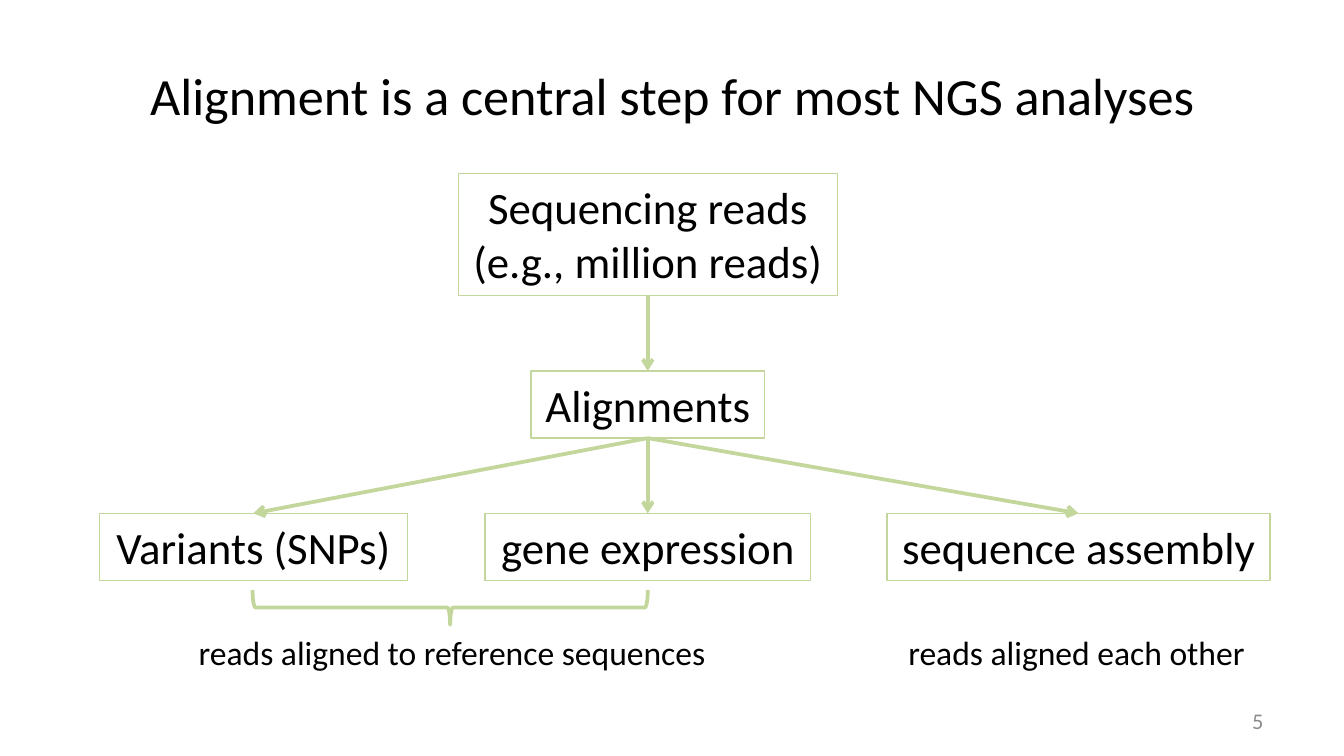
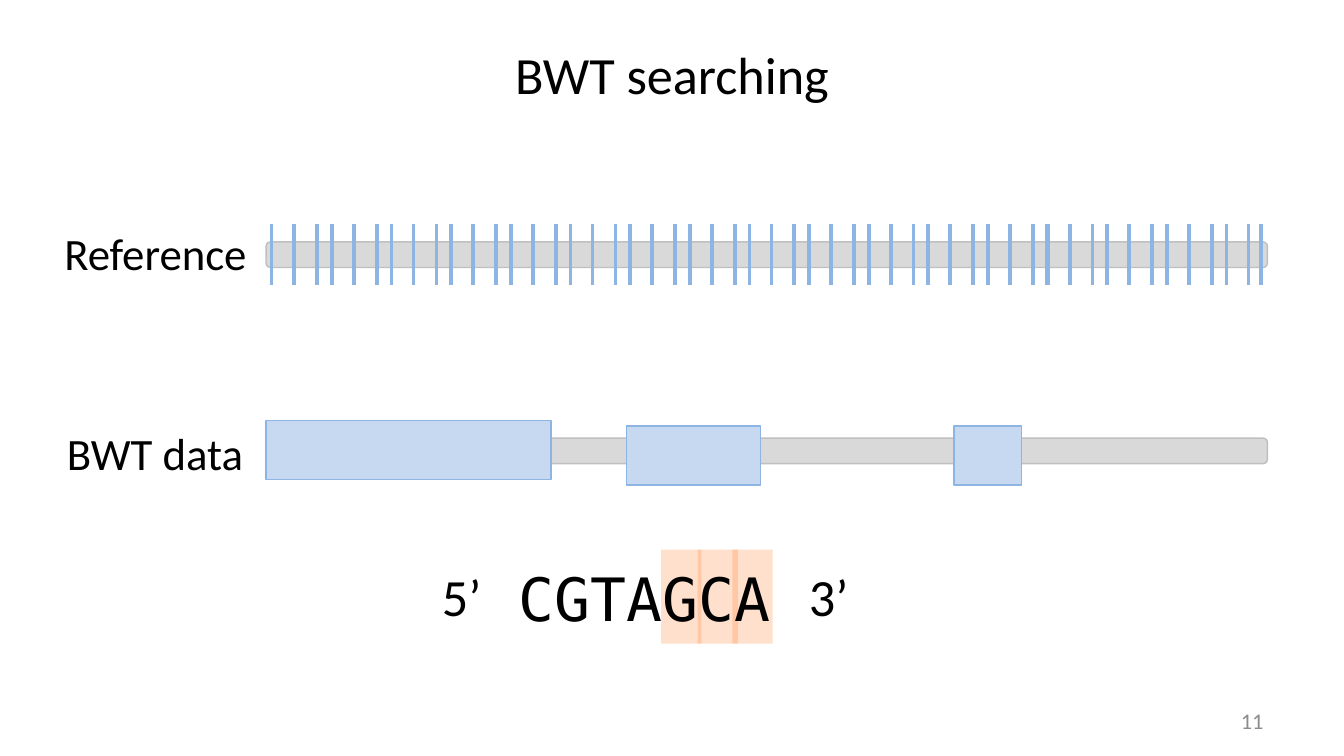
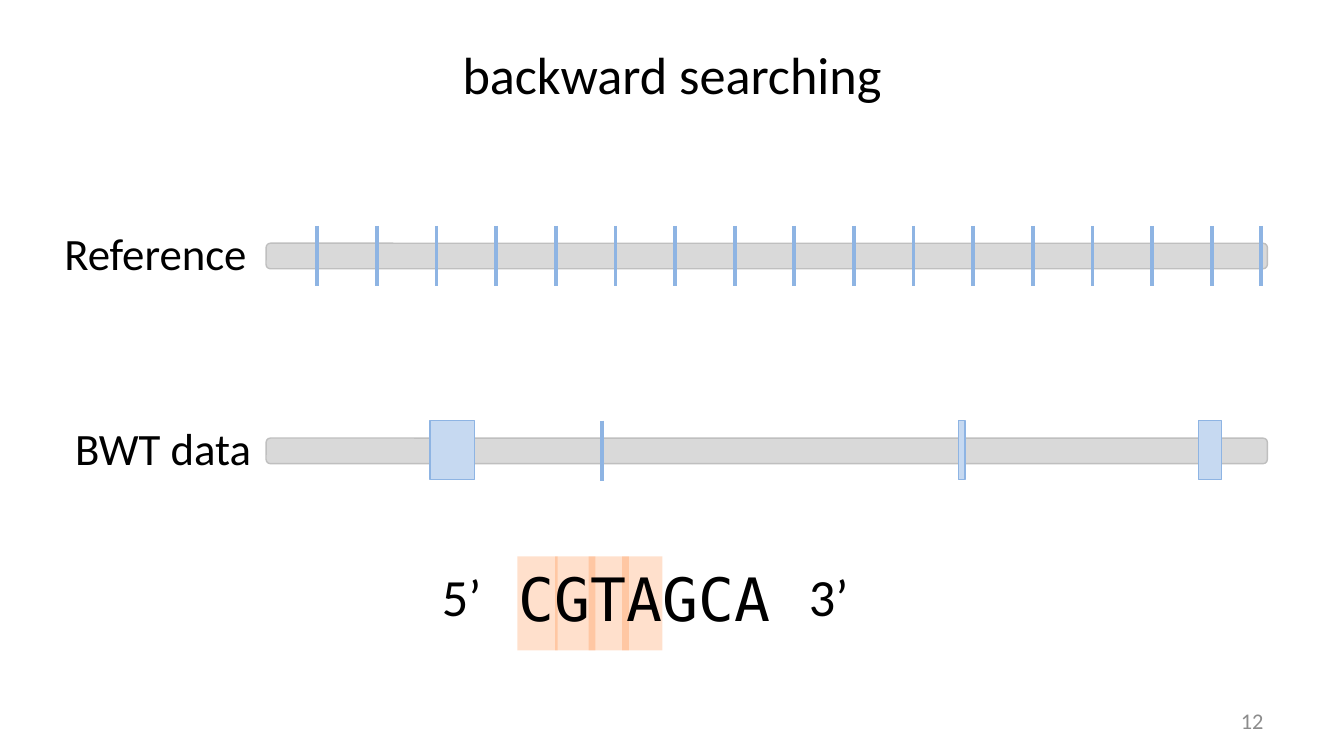
"""Build three slides on read alignment and BWT searching."""
from dataclasses import dataclass

from lxml.etree import SubElement
from pptx import Presentation
from pptx.dml.color import RGBColor
from pptx.enum.shapes import MSO_CONNECTOR, MSO_SHAPE
from pptx.enum.text import MSO_ANCHOR, MSO_AUTO_SIZE, PP_ALIGN
from pptx.oxml.ns import qn
from pptx.presentation import Presentation as Deck
from pptx.shapes.autoshape import Shape
from pptx.shapes.connector import Connector
from pptx.slide import Slide
from pptx.util import Inches, Pt

SLIDE_WIDTH = 10
SLIDE_HEIGHT = SLIDE_WIDTH * 9 / 16

BLACK = "000000"
NUMBER_GRAY = "8C8C8C"
GREEN = "C3D69B"
BAR_FILL, BAR_LINE = "D9D9D9", "BFBFBF"
BLOCK_FILL, BLOCK_LINE = "C6D9F1", "8EB4E3"
ORANGE = "FF6600"
BODY_FONT, CODE_FONT = "Calibri", "DejaVu Sans Mono"
THIN, THICK = 0.75, 2

BAR_LEFT, BAR_WIDTH, BAR_HEIGHT = 1.98, 7.45, 0.19
BLOCK_HEIGHT, TICK_HEIGHT = 0.44, 0.45
BASE_WIDTH, BASE_HEIGHT = 0.3, 0.7
TICK_STEP = 7.1 / 16


@dataclass(frozen=True)
class Box:
    """Place of an element in inches."""

    left: float
    top: float
    width: float
    height: float


@dataclass(frozen=True)
class Label:
    """Text with its place and style."""

    text: str
    box: Box
    size: int
    color: str = BLACK
    font: str = BODY_FONT
    align: PP_ALIGN = PP_ALIGN.LEFT
    anchor: MSO_ANCHOR = MSO_ANCHOR.TOP
    wrap: bool = False
    grow: bool = True


@dataclass(frozen=True)
class SearchSlide:
    """Data of one slide that shows matches on the reference and BWT bars."""

    title: str
    number: int
    reference_top: float
    tick_top: float
    reference_ticks: list[float]
    blocks: list[Box]
    data_ticks: list[float]
    highlight_top: float
    highlight_lefts: list[float]
    data_label_box: Box


def rgb(color: str) -> RGBColor:
    """Turn a hex string into a colour."""
    return RGBColor.from_string(color)


def inches(box: Box) -> tuple[Inches, Inches, Inches, Inches]:
    """Return the place of a box as lengths."""
    return Inches(box.left), Inches(box.top), Inches(box.width), Inches(box.height)


def write(shape: Shape, label: Label) -> None:
    """Put styled text into a shape."""
    frame = shape.text_frame
    frame.text = label.text
    frame.word_wrap = label.wrap
    frame.auto_size = MSO_AUTO_SIZE.SHAPE_TO_FIT_TEXT if label.grow else MSO_AUTO_SIZE.NONE
    frame.vertical_anchor = label.anchor
    for paragraph in frame.paragraphs:
        paragraph.alignment = label.align
        for run in paragraph.runs:
            run.font.name = label.font
            run.font.size = Pt(label.size)
            run.font.color.rgb = rgb(label.color)


def add_label(slide: Slide, label: Label) -> None:
    """Add a text box."""
    write(slide.shapes.add_textbox(*inches(label.box)), label)


def add_figure(slide: Slide, kind: MSO_SHAPE, box: Box, fill: str | None = None,
               line: str | None = None, line_width: float = THIN) -> Shape:
    """Add a preset shape without shadow."""
    shape = slide.shapes.add_shape(kind, *inches(box))
    shape.shadow.inherit = False
    if fill:
        shape.fill.solid()
        shape.fill.fore_color.rgb = rgb(fill)
    else:
        shape.fill.background()
    if line:
        shape.line.color.rgb = rgb(line)
        shape.line.width = Pt(line_width)
    else:
        shape.line.fill.background()
    return shape


def style_connector(connector: Connector, color: str, arrow: bool = False) -> None:
    """Give a connector its colour, width and optional arrowhead."""
    connector.line.color.rgb = rgb(color)
    connector.line.width = Pt(THICK)
    properties = connector.element.spPr
    if arrow:
        SubElement(properties.find(qn("a:ln")), qn("a:tailEnd"), type="arrow")
    SubElement(properties, qn("a:effectLst"))


def add_arrow(slide: Slide, parent: Shape, child: Shape) -> None:
    """Join the bottom of one shape to the top of another."""
    connector = slide.shapes.add_connector(MSO_CONNECTOR.STRAIGHT, 0, 0, 0, 0)
    connector.begin_connect(parent, 2)
    connector.end_connect(child, 0)
    style_connector(connector, GREEN, arrow=True)


def add_ticks(slide: Slide, positions: list[float], top: float) -> None:
    """Add a group of vertical match marks."""
    group = slide.shapes.add_group_shape()
    for position in positions:
        connector = group.shapes.add_connector(
            MSO_CONNECTOR.STRAIGHT, Inches(position), Inches(top),
            Inches(position), Inches(top + TICK_HEIGHT))
        style_connector(connector, BLOCK_LINE)


def tick_row(start: float, count: int) -> list[float]:
    """Return evenly spaced tick positions."""
    return [start + index * TICK_STEP for index in range(count)]


def add_base_slide(presentation: Deck, title: str, title_top: float, number: int) -> Slide:
    """Add a blank slide with its title and number."""
    slide = presentation.slides.add_slide(presentation.slide_layouts[6])
    add_label(slide, Label(title, Box(0.5, title_top, 9, 0.63), 28, align=PP_ALIGN.CENTER,
                           anchor=MSO_ANCHOR.MIDDLE, wrap=True, grow=False))
    add_label(slide, Label(str(number), Box(7.17, 5.21, 2.33, 0.3), 12, NUMBER_GRAY,
                           align=PP_ALIGN.RIGHT, anchor=MSO_ANCHOR.MIDDLE,
                           wrap=True, grow=False))
    return slide


def add_step(slide: Slide, text: str, box: Box) -> Shape:
    """Add an outlined step of the workflow."""
    shape = add_figure(slide, MSO_SHAPE.RECTANGLE, box, line=GREEN)
    write(shape, Label(text, box, 24, align=PP_ALIGN.CENTER))
    return shape


def build_workflow(presentation: Deck) -> None:
    """Build the slide on the role of alignment."""
    slide = add_base_slide(presentation, "Alignment is a central step for most NGS analyses",
                           0.39, 5)
    reads = add_step(slide, "Sequencing reads\n(e.g., million reads)",
                     Box(3.41, 1.29, 2.82, 0.91))
    alignments = add_step(slide, "Alignments", Box(3.95, 2.76, 1.74, 0.5))
    add_arrow(slide, reads, alignments)
    analyses = [("Variants (SNPs)", 0.74, 2.29), ("gene expression", 3.61, 2.42),
                ("sequence assembly", 6.6, 2.85)]
    for text, left, width in analyses:
        add_arrow(slide, alignments, add_step(slide, text, Box(left, 3.82, width, 0.5)))
    brace = add_figure(slide, MSO_SHAPE.LEFT_BRACE, Box(3.22, 3.05, 0.26, 2.94),
                       line=GREEN, line_width=THICK)
    brace.rotation = 270
    add_label(slide, Label("reads aligned to reference sequences",
                           Box(1.38, 4.65, 4.03, 0.4), 18))
    add_label(slide, Label("reads aligned each other", Box(6.66, 4.65, 2.74, 0.4), 18))


def build_search(presentation: Deck, search: SearchSlide) -> None:
    """Build a slide with the two bars and the query sequence."""
    slide = add_base_slide(presentation, search.title, 0.23, search.number)
    for top in (search.reference_top, 3.26):
        add_figure(slide, MSO_SHAPE.ROUNDED_RECTANGLE,
                   Box(BAR_LEFT, top, BAR_WIDTH, BAR_HEIGHT), BAR_FILL, BAR_LINE)
    for block in search.blocks:
        add_figure(slide, MSO_SHAPE.RECTANGLE, block, BLOCK_FILL, BLOCK_LINE)
    add_ticks(slide, search.reference_ticks, search.tick_top)
    if search.data_ticks:
        add_ticks(slide, search.data_ticks, 3.13)
    for left in search.highlight_lefts:
        highlight = add_figure(slide, MSO_SHAPE.RECTANGLE,
                               Box(left, search.highlight_top, BASE_WIDTH, BASE_HEIGHT), ORANGE)
        color = highlight.element.spPr.find(qn("a:solidFill")).find(qn("a:srgbClr"))
        SubElement(color, qn("a:alpha"), val="20000")
    for label in (
        Label("5’", Box(3.19, 4.15, 0.59, 0.57), 28),
        Label("3’", Box(5.92, 4.15, 0.59, 0.57), 28),
        Label("CGTAGCA", Box(3.76, 4.13, 2.75, 0.64), 32, font=CODE_FONT, wrap=True),
        Label("Reference", Box(0.38, 1.63, 1.58, 0.5), 24),
        Label("BWT data", search.data_label_box, 24),
    ):
        add_label(slide, label)


def main() -> None:
    """Build and save the presentation."""
    presentation = Presentation()
    presentation.slide_width = Inches(SLIDE_WIDTH)
    presentation.slide_height = Inches(SLIDE_HEIGHT)
    build_workflow(presentation)
    final_ticks = tick_row(2.36, 16) + [9.38]
    build_search(presentation, SearchSlide(
        title="BWT searching", number=11, reference_top=1.8, tick_top=1.67,
        reference_ticks=[2.02, 7.79] + tick_row(2.19, 17) + final_ticks + tick_row(2.47, 16),
        blocks=[Box(1.98, 3.13, 2.12, BLOCK_HEIGHT), Box(4.66, 3.17, 1, BLOCK_HEIGHT),
                Box(7.1, 3.17, 0.5, BLOCK_HEIGHT)],
        data_ticks=[], highlight_top=4.09, highlight_lefts=[5.45, 5.19, 4.92],
        data_label_box=Box(0.4, 3.12, 1.52, 0.5)))
    build_search(presentation, SearchSlide(
        title="backward searching", number=12, reference_top=1.81, tick_top=1.68,
        reference_ticks=final_ticks,
        blocks=[Box(left, 3.13, width, BLOCK_HEIGHT)
                for left, width in ((3.2, 0.33), (8.92, 0.17), (7.13, 0.05))],
        data_ticks=[4.48], highlight_top=4.14, highlight_lefts=[4.63, 4.38, 4.13, 3.85],
        data_label_box=Box(0.46, 3.08, 1.52, 0.5)))
    presentation.save("out.pptx")


if __name__ == "__main__":
    main()
